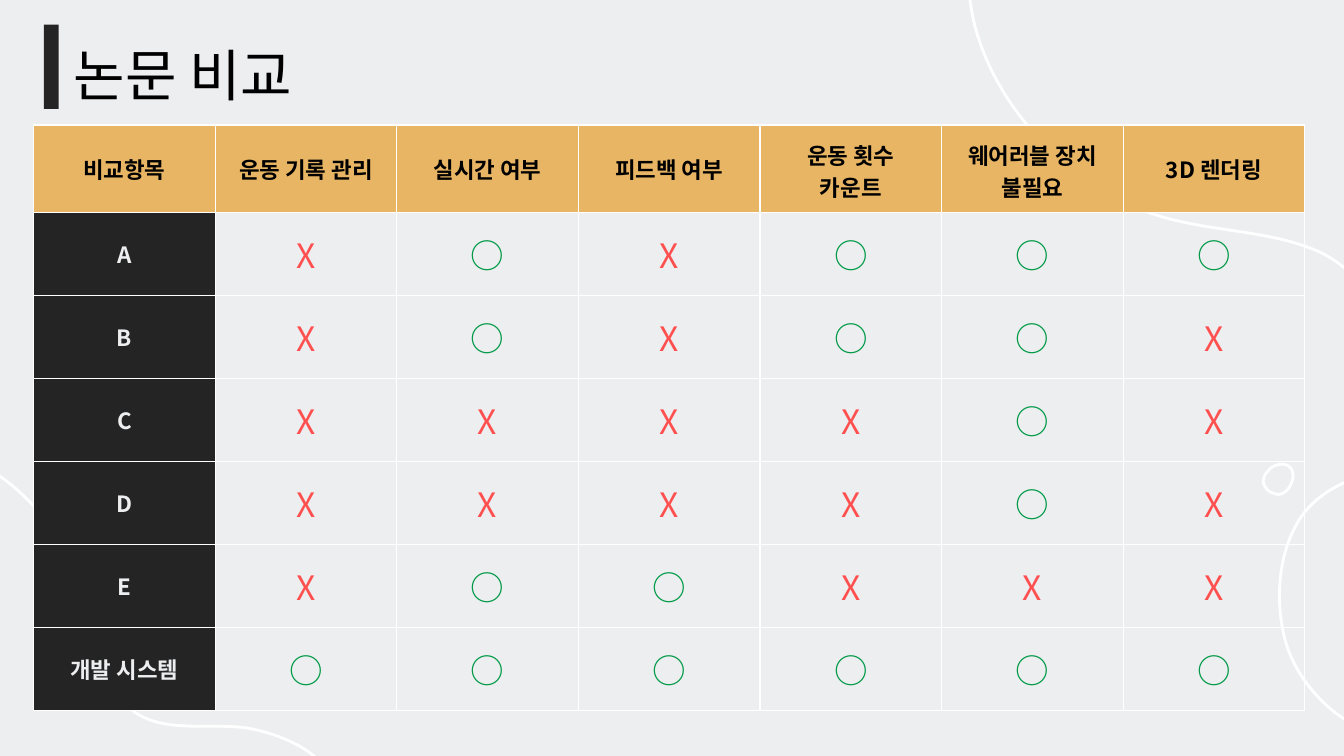
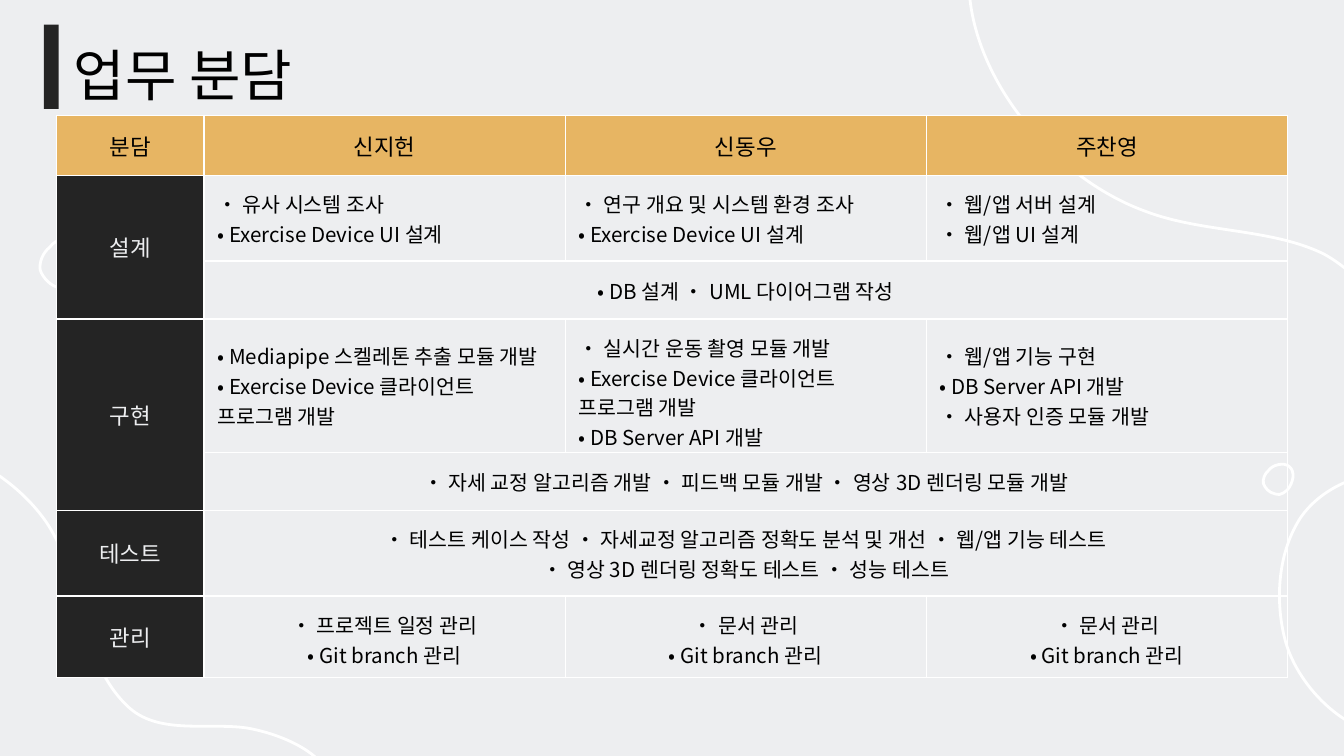
from dataclasses import dataclass, replace

from lxml import etree
from pptx import Presentation
from pptx.dml.color import RGBColor as RGB
from pptx.enum.shapes import MSO_SHAPE as SHAPE
from pptx.enum.text import MSO_ANCHOR as ANCHOR, MSO_AUTO_SIZE as AUTO, PP_ALIGN as ALIGN
from pptx.oxml.ns import qn
from pptx.util import Pt


@dataclass(frozen=True)
class Theme:
    font: str = "Noto Sans CJK KR"
    back: str = "EDEEF0"
    ink: str = "000000"
    dark: str = "242424"
    gold: str = "E7B563"
    white: str = "FFFFFF"
    yes: str = "009A46"
    no: str = "FF5050"
    title: float = 30
    mark: float = 18
    label: float = 12
    body: float = 11
    inset: float = 7.2
    curve: float = 1.5
    border: float = 0.75


T = Theme()


@dataclass(frozen=True)
class CellStyle:
    size: float
    color: str
    fill: str = ""
    bold: bool = False
    align: ALIGN = ALIGN.CENTER


HEAD = CellStyle(T.label, T.ink, T.gold)
SIDE = CellStyle(T.label, T.back, T.dark)
YES = CellStyle(T.mark, T.yes)
NO = CellStyle(T.mark, T.no)
BODY = CellStyle(T.body, T.ink)
LIST = replace(BODY, align=ALIGN.LEFT)

# Background curves: a start point, then three points per Bezier segment
WAVES = [
    [(519, -11), (519, 41), (564, 95), (613, 113), (644, 125), (680, 122), (709, 136),
     (731, 148), (745, 171), (762, 189), (767, 193), (771, 198), (776, 202),
     (778, 204), (786, 206), (786, 210)],
    [(-33, 239), (-10, 246), (12, 261), (25, 280), (45, 310), (42, 353), (68, 378),
     (84, 394), (111, 387), (132, 390), (150, 393), (178, 404), (178, 423)],
    [(741, 254), (724, 254), (706, 264), (697, 277), (685, 295), (683, 320), (688, 341),
     (694, 367), (721, 394), (747, 394)],
]
# Pebble outline around its own centre, and where it is placed: x, y, scale
PEBBLE = [(6.8, 11.2), (4.6, 12.6), (2.5, 14.8), (0.3, 14.8), (-1.8, 14.8), (-3.3, 14.8),
          (-4.7, 14.1), (-9, 13.4), (-13.4, 9), (-14.8, 4.7), (-15.5, 0.4), (-13.4, -4.6),
          (-9.8, -7.5), (-7.6, -10.4), (-4.7, -11.8), (-1.1, -12.6), (7.5, -14.7),
          (13.3, -9.7), (12.6, -1), (11.8, 3.3), (10.4, 7.6), (6.8, 11.2)]
PEBBLE_SPOTS = [(36.4, 140, 1), (685.4, 256.3, 0.58)]

# Slide 1: comparison of papers
COMPARE_HEAD = ["비교항목", "운동 기록 관리", "실시간 여부", "피드백 여부",
                "운동 횟수\n카운트", "웨어러블 장치 불필요", "3D 렌더링"]
COMPARE_MARKS = {
    "A": "X○X○○○",
    "B": "X○X○○X",
    "C": "XXXX○X",
    "D": "XXXX○X",
    "E": "X○○XXX",
    "개발 시스템": "○○○○○○",
}

# Slide 2: an empty label continues the one above, a single entry spans all members
MEMBERS = ["분담", "신지헌", "신동우", "주찬영"]
DUTIES = [
    ("설계", LIST, ["• 유사 시스템 조사\n• Exercise Device UI 설계",
                  "• 연구 개요 및 시스템 환경 조사\n• Exercise Device UI 설계",
                  "• 웹/앱 서버 설계\n• 웹/앱 UI 설계"]),
    ("", BODY, ["• DB 설계 • UML 다이어그램 작성"]),
    ("구현", LIST, ["• Mediapipe 스켈레톤 추출 모듈 개발\n• Exercise Device 클라이언트 프로그램 개발",
                  "• 실시간 운동 촬영 모듈 개발\n• Exercise Device 클라이언트 프로그램 개발\n"
                  "• DB Server API 개발",
                  "• 웹/앱 기능 구현\n• DB Server API 개발\n• 사용자 인증 모듈 개발"]),
    ("", BODY, ["• 자세 교정 알고리즘 개발 • 피드백 모듈 개발 • 영상 3D 렌더링 모듈 개발"]),
    ("테스트", BODY, ["• 테스트 케이스 작성 • 자세교정 알고리즘 정확도 분석 및 개선 • 웹/앱 기능 테스트\n"
                   "• 영상 3D 렌더링 정확도 테스트 • 성능 테스트"]),
    ("관리", BODY, ["• 프로젝트 일정 관리\n• Git branch 관리",
                  "• 문서 관리\n• Git branch 관리",
                  "• 문서 관리\n• Git branch 관리"]),
]


def add_run(p, text, size, color, bold=False):
    r = p.add_run()
    r.text = text
    f = r.font
    f.size, f.bold, f.name = Pt(size), bold, T.font
    f.color.rgb = RGB.from_string(color)
    latin = r._r.find(".//" + qn("a:latin"))
    ea = etree.Element(qn("a:ea"), typeface=T.font)
    latin.addnext(ea)


def add_curve(s, points, closed=False):
    """Draw a smooth white outline through Bezier points."""
    pts = [(Pt(x), Pt(y)) for x, y in points]
    builder = s.shapes.build_freeform(*pts[0])
    builder.add_line_segments(pts[1:], close=closed)
    sp = builder.convert_to_shape()
    sp.shadow.inherit = False
    sp.fill.background()
    sp.line.color.rgb = RGB.from_string(T.white)
    sp.line.width = Pt(T.curve)
    # Turn each three straight steps into one Bezier segment
    steps = sp.element.findall(".//" + qn("a:lnTo"))
    for i in range(0, len(steps), 3):
        bezier = etree.Element(qn("a:cubicBezTo"))
        steps[i].addprevious(bezier)
        for step in steps[i:i + 3]:
            bezier.append(step[0])
            step.getparent().remove(step)
    return sp


def decorate_layout(layout, s):
    """Give the layout its background; curves are drawn on s and moved over."""
    fill = layout.background.fill
    fill.solid()
    fill.fore_color.rgb = RGB.from_string(T.back)
    curves = [add_curve(s, wave) for wave in WAVES]
    for cx, cy, k in PEBBLE_SPOTS:
        outline = [(cx + k * x, cy + k * y) for x, y in PEBBLE]
        curves.append(add_curve(s, outline, closed=True))
    for sp in curves:
        layout.shapes.element.append(sp.element)


def add_title(s, text):
    # Dark bar beside the title
    bar = s.shapes.add_shape(SHAPE.RECTANGLE, Pt(23.5), Pt(13.2), Pt(7.9), Pt(45.2))
    bar.shadow.inherit = False
    bar.fill.solid()
    bar.fill.fore_color.rgb = RGB.from_string(T.dark)
    bar.line.fill.background()
    # Title placeholder
    sp = s.shapes.title
    sp.left, sp.top, sp.width, sp.height = Pt(32.4), Pt(18), Pt(157.7), Pt(43.9)
    tf = sp.text_frame
    tf.word_wrap = True
    tf.auto_size = AUTO.SHAPE_TO_FIT_TEXT
    tf.vertical_anchor = ANCHOR.BOTTOM
    p = tf.paragraphs[0]
    p.alignment, p.line_spacing = ALIGN.LEFT, 0.9
    add_run(p, text, T.title, T.ink)


def format_cell(cell, fill=""):
    cell.margin_left = cell.margin_right = Pt(T.inset)
    cell.margin_top = cell.margin_bottom = Pt(T.inset)
    cell.vertical_anchor = ANCHOR.MIDDLE
    tc_pr = cell._tc.get_or_add_tcPr()
    for side in ("lnL", "lnR", "lnT", "lnB"):
        ln = etree.SubElement(tc_pr, qn("a:" + side), w=str(Pt(T.border)))
        solid = etree.SubElement(ln, qn("a:solidFill"))
        etree.SubElement(solid, qn("a:srgbClr"), val=T.white)
    if fill:
        cell.fill.solid()
        cell.fill.fore_color.rgb = RGB.from_string(fill)
    else:
        cell.fill.background()


def add_grid(s, left, top, widths, heights, side_fill):
    """Add a table with a gold top row and a dark first column."""
    frame = s.shapes.add_table(len(heights), len(widths), Pt(left), Pt(top),
                               Pt(sum(widths)), Pt(sum(heights)))
    table = frame.table
    table.first_row = table.horz_banding = False
    for col, width in zip(table.columns, widths):
        col.width = Pt(width)
    for row, height in zip(table.rows, heights):
        row.height = Pt(height)
    for i in range(len(heights)):
        for j in range(len(widths)):
            format_cell(table.cell(i, j), T.gold if i == 0 else side_fill if j == 0 else "")
    return table


def fill_cell(cell, text, style):
    tf = cell.text_frame
    for i, line in enumerate(text.split("\n")):
        p = tf.add_paragraph() if i else tf.paragraphs[0]
        p.alignment = style.align
        add_run(p, line, style.size, style.color, style.bold)


def add_comparison(s):
    table = add_grid(s, 18, 67, [97.3] * 7, [46.8] + [44.5] * 6, T.dark)
    for j, text in enumerate(COMPARE_HEAD):
        fill_cell(table.cell(0, j), text, replace(HEAD, bold=True))
    for i, (label, marks) in enumerate(COMPARE_MARKS.items(), 1):
        fill_cell(table.cell(i, 0), label, replace(SIDE, bold=True))
        for j, mark in enumerate(marks, 1):
            fill_cell(table.cell(i, j), mark, NO if mark == "X" else YES)


def add_duties(s):
    table = add_grid(s, 30.3, 61.9, [79] + [193.5] * 3,
                     [32, 46, 31, 71.5, 31, 46, 43.5], T.dark)
    for j, text in enumerate(MEMBERS):
        fill_cell(table.cell(0, j), text, HEAD)
    for i, (label, style, entries) in enumerate(DUTIES, 1):
        if label:
            fill_cell(table.cell(i, 0), label, SIDE)
        else:
            table.cell(i - 1, 0).merge(table.cell(i, 0))
        if len(entries) == 1:
            table.cell(i, 1).merge(table.cell(i, 3))
        for j, text in enumerate(entries, 1):
            fill_cell(table.cell(i, j), text, style)


def main():
    prs = Presentation()
    prs.slide_width, prs.slide_height = Pt(720), Pt(405)
    layout = prs.slide_layouts[5]

    # Slide 1: comparison of papers
    s = prs.slides.add_slide(layout)
    decorate_layout(layout, s)
    add_title(s, "논문 비교")
    add_comparison(s)

    # Slide 2: division of work
    s = prs.slides.add_slide(layout)
    add_title(s, "업무 분담")
    add_duties(s)

    prs.save("out.pptx")


if __name__ == "__main__":
    main()
